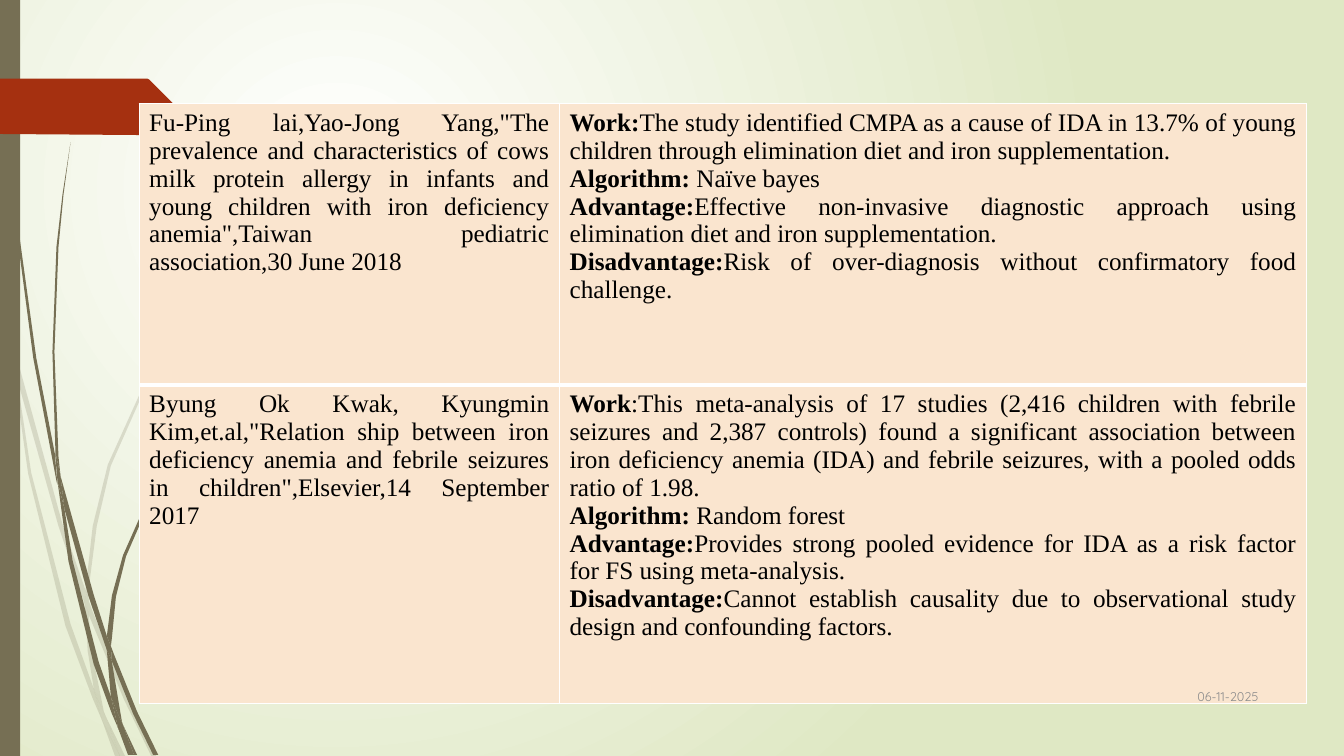
from lxml.etree import SubElement
from pptx import Presentation
from pptx.dml.color import RGBColor
from pptx.enum.shapes import MSO_SHAPE
from pptx.enum.text import MSO_ANCHOR, PP_ALIGN
from pptx.oxml.ns import qn
from pptx.util import Inches, Pt

OLIVE = RGBColor(0x76, 0x6F, 0x54)
RUST = RGBColor(0xA5, 0x30, 0x10)
PEACH = RGBColor(0xFA, 0xE5, 0xCF)
SAGE = RGBColor(0xDF, 0xE8, 0xC4)
GREY = RGBColor(0x8C, 0x8C, 0x8C)
WHITE = RGBColor(0xFF, 0xFF, 0xFF)
BLACK = RGBColor(0, 0, 0)

PALE_BLADES = [
    [(0.11, 3.5), (0.09, 3.22), (0, 2.82), (0, 2.99), (0.1, 3.44)],
    [(0.58, 5.22), (0.84, 5.99), (0.85, 5.86), (0.62, 5.2), (0.14, 3.45), (0.17, 3.76)],
    [(0.92, 6.07), (0.88, 5.96), (0.88, 6.1), (1.23, 6.94), (1.5, 7.5), (1.55, 7.5), (1.27, 6.92)],
    [(1.19, 7.5), (1.24, 7.5), (1.05, 7.11)],
    [(0.93, 6.83), (0.7, 6.19), (0.31, 4.69), (0.17, 3.76), (0.11, 3.5), (0.28, 4.7),
     (0.65, 6.21), (0.92, 6.93), (1.01, 7.14), (0.99, 7.07)],
    [(0.84, 5.99), (0.87, 6.46), (0.93, 6.83), (0.96, 6.92), (1.05, 7.11), (1.03, 7.06),
     (0.91, 6.46), (0.88, 6.1), (0.88, 6.08)],
    [(0.88, 5.84), (0.96, 5.22), (1.1, 4.62), (1.6, 3.49), (2.29, 2.45), (2.68, 1.98), (2.9, 1.75),
     (3.12, 1.54), (3.12, 1.53), (2.89, 1.75), (2.68, 1.97), (2.28, 2.44), (1.58, 3.48),
     (1.07, 4.61), (0.92, 5.22), (0.85, 5.84), (0.85, 5.86), (0.88, 5.96)],
    [(1.01, 7.14), (1.14, 7.5), (1.19, 7.5)],
    [(0.88, 6.08), (0.88, 6.1), (0.88, 5.96), (0.85, 5.86), (0.84, 5.99)],
    [(0.96, 6.92), (0.93, 6.83), (0.99, 7.07), (1.01, 7.14), (1.19, 7.5), (1.05, 7.11)],
]
DARK_BLADES = [
    [(0.07, 1.1), (0.17, 2.33), (0.33, 3.55), (0.56, 4.77), (0.57, 4.81), (0.55, 4.57), (0.55, 4.53),
     (0.36, 3.55), (0.19, 2.32), (0.08, 1.09), (0.05, 0.48), (0.04, 0), (0.03, 0), (0.04, 0.48)],
    [(0.88, 5.92), (1.06, 6.45), (1.06, 6.33), (1.06, 6.31), (0.93, 5.9), (0.6, 4.72), (0.64, 5.05)],
    [(1.13, 6.49), (1.1, 6.41), (1.11, 6.56), (1.32, 7.08), (1.52, 7.49), (1.57, 7.49), (1.36, 7.06)],
    [(1.1, 6.91), (0.98, 6.57), (0.72, 5.56), (0.64, 5.05), (0.57, 4.77), (0.68, 5.57),
     (0.93, 6.59), (1.11, 7.08), (1.17, 7.22), (1.16, 7.17)],
    [(0.6, 4.72), (0.58, 4.53), (0.54, 3.49), (0.58, 2.45), (0.63, 1.93), (0.7, 1.41),
     (0.62, 1.93), (0.56, 2.45), (0.52, 3.49), (0.55, 4.49)],
    [(1.33, 7.49), (1.36, 7.49), (1.22, 7.19)],
    [(0.57, 4.77), (0.64, 5.05), (0.6, 4.72), (0.55, 4.49), (0.55, 4.53)],
    [(1.11, 6.33), (1.15, 5.92), (1.25, 5.52), (1.58, 4.76), (2.05, 4.06), (2.31, 3.74),
     (2.45, 3.59), (2.61, 3.44), (2.6, 3.44), (2.45, 3.58), (2.31, 3.73), (2.04, 4.05),
     (1.56, 4.74), (1.22, 5.51), (1.11, 5.91), (1.06, 6.31), (1.1, 6.41)],
    [(1.17, 7.22), (1.27, 7.49), (1.31, 7.49)],
    [(1.06, 6.45), (1.1, 6.91), (1.16, 7.06), (1.22, 7.19), (1.21, 7.16), (1.11, 6.56), (1.09, 6.51)],
    [(1.06, 6.45), (1.09, 6.51), (1.11, 6.56), (1.1, 6.41), (1.06, 6.31), (1.06, 6.33)],
    [(1.16, 7.06), (1.1, 6.91), (1.16, 7.17), (1.17, 7.22), (1.3, 7.49), (1.33, 7.49), (1.22, 7.19)],
]
TAG = [(0, 0.78), (1.46, 0.78), (1.48, 0.79), (1.73, 1.04), (1.74, 1.06), (1.73, 1.08),
       (1.48, 1.33), (1.46, 1.34), (1.36, 1.34), (0, 1.33)]

STUDIES = [
    ([[("Fu-Ping lai,Yao-Jong Yang,\"The prevalence and characteristics of cows milk protein allergy in "
        "infants and young children with iron deficiency anemia\",Taiwan pediatric association,30 June 2018",
        False)]],
     [[("Work:", True), ("The study identified CMPA as a cause of IDA in 13.7% of young children through "
                         "elimination diet and iron supplementation.", False)],
      [("Algorithm: ", True), ("Naïve bayes", False)],
      [("Advantage:", True), ("Effective non-invasive diagnostic approach using elimination diet and "
                              "iron supplementation.", False)],
      [("Disadvantage:", True), ("Risk of over-diagnosis without confirmatory food challenge.", False)]]),
    ([[("Byung Ok Kwak, Kyungmin Kim,et.al,\"Relation ship between iron deficiency anemia and febrile "
        "seizures in children\",Elsevier,14 September 2017", False)]],
     [[("Work", True), (":This meta-analysis of 17 studies (2,416 children with febrile seizures and 2,387 "
                        "controls) found a significant association between iron deficiency anemia (IDA) and "
                        "febrile seizures, with a pooled odds ratio of 1.98.", False)],
      [("Algorithm:", True), (" Random forest", False)],
      [("Advantage:", True), ("Provides strong pooled evidence for IDA as a risk factor for FS using "
                              "meta-analysis.", False)],
      [("Disadvantage:", True), ("Cannot establish causality due to observational study design and "
                                 "confounding factors.", False)]]),
]
COLUMN_WIDTHS = [4.17, 7.41]
ROW_HEIGHTS = [2.79, 3.16]


def paint(shape, color):
    shape.shadow.inherit = False
    shape.fill.solid()
    shape.fill.fore_color.rgb = color
    shape.line.fill.background()


def draw_outline(shapes, points, color):
    corners = [(Inches(x), Inches(y)) for x, y in points]
    builder = shapes.build_freeform(*corners[0], scale=1)
    builder.add_line_segments(corners[1:], close=True)
    outline = builder.convert_to_shape()
    paint(outline, color)
    return outline


deck = Presentation()
deck.slide_width, deck.slide_height = Inches(13.33), Inches(7.5)
slide = deck.slides.add_slide(deck.slide_layouts[6])

backdrop = slide.background.fill
backdrop.gradient()
for stop, color, position in zip(backdrop.gradient_stops, (WHITE, SAGE), (0, 1)):
    stop.color.rgb = color
    stop.position = position
glow = next(slide.element.iter(qn("a:gradFill")))
glow.remove(glow.find(qn("a:lin")))
circle = SubElement(glow, qn("a:path"), path="circle")
SubElement(circle, qn("a:fillToRect"), l="50000", t="50000", r="100000", b="100000")

for blades, opacity in ((PALE_BLADES, 20), (DARK_BLADES, 100)):
    tuft = slide.shapes.add_group_shape()
    for blade in blades:
        leaf = draw_outline(tuft.shapes, blade, OLIVE)
        if opacity < 100:
            tint = next(leaf.element.spPr.iter(qn("a:srgbClr")))
            SubElement(tint, qn("a:alpha"), val=str(opacity * 1000))

edge_band = slide.shapes.add_shape(MSO_SHAPE.RECTANGLE, 0, 0, Inches(0.2), deck.slide_height)
paint(edge_band, OLIVE)
draw_outline(slide.shapes, TAG, RUST)

review = slide.shapes.add_table(
    len(ROW_HEIGHTS), len(COLUMN_WIDTHS), Inches(1.38), Inches(1.03),
    Inches(sum(COLUMN_WIDTHS)), Inches(sum(ROW_HEIGHTS))).table
review.first_row = review.horz_banding = False
for column, width in zip(review.columns, COLUMN_WIDTHS):
    column.width = Inches(width)
for row, height in zip(review.rows, ROW_HEIGHTS):
    row.height = Inches(height)

for row_index, study in enumerate(STUDIES):
    for column_index, paragraphs in enumerate(study):
        cell = review.cell(row_index, column_index)
        frame = cell.text_frame
        for index, runs in enumerate(paragraphs):
            paragraph = frame.add_paragraph() if index else frame.paragraphs[0]
            paragraph.alignment = PP_ALIGN.JUSTIFY
            for wording, bold in runs:
                run = paragraph.add_run()
                run.text = wording
                run.font.name, run.font.size = "Times New Roman", Pt(18)
                run.font.bold = bold
                run.font.color.rgb = BLACK
        divider = "a:lnT" if row_index else "a:lnB"
        properties = cell._tc.get_or_add_tcPr()
        for side in ("a:lnL", "a:lnR", "a:lnT", "a:lnB"):
            border = SubElement(properties, qn(side), w=str(Pt(3 if side == divider else 1)))
            SubElement(SubElement(border, qn("a:solidFill")), qn("a:srgbClr"), val=str(WHITE))
        cell.fill.solid()
        cell.fill.fore_color.rgb = PEACH

date = slide.shapes.add_textbox(Inches(11.33), Inches(6.7), Inches(1.25), Inches(0.41)).text_frame
date.word_wrap = True
date.vertical_anchor = MSO_ANCHOR.MIDDLE
date.paragraphs[0].alignment = PP_ALIGN.RIGHT
day = date.paragraphs[0].add_run()
day.text = "06-11-2025"
day.font.name, day.font.size = "Quicksand", Pt(9)
day.font.color.rgb = GREY

deck.save("out.pptx")
